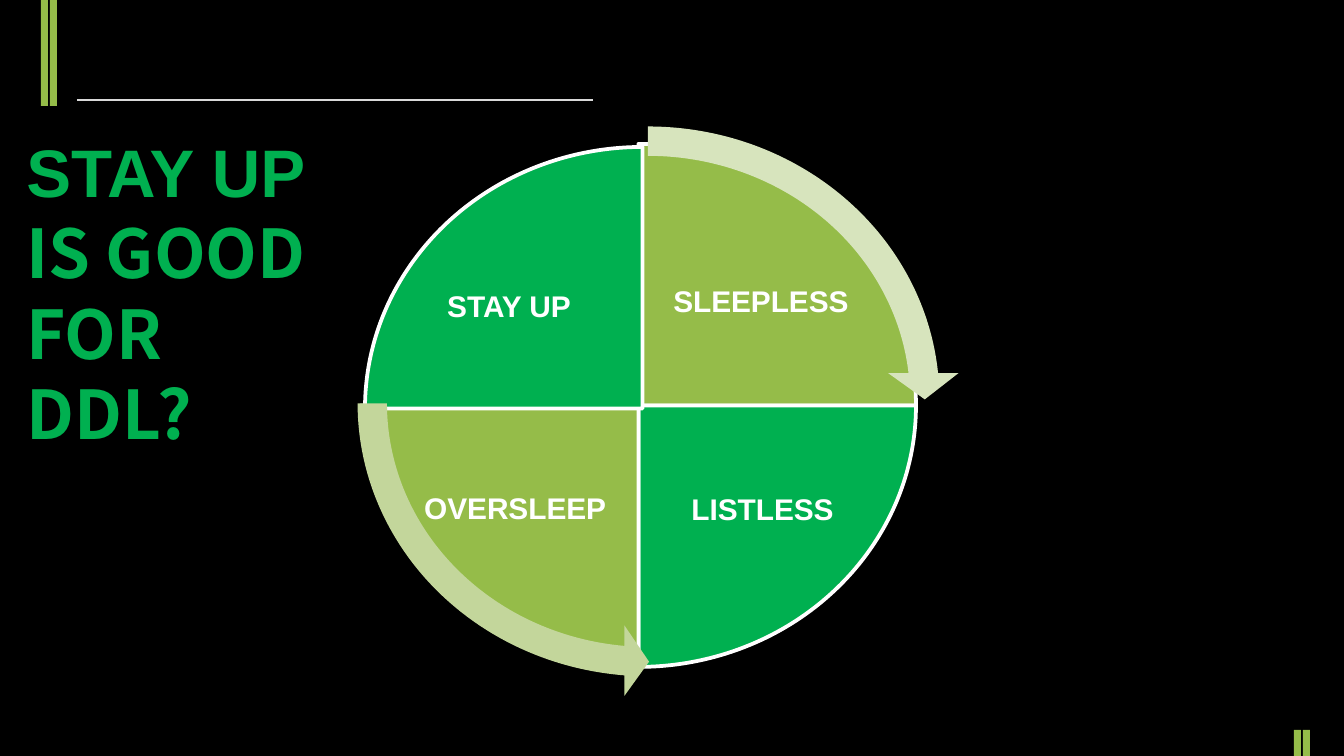
from lxml import etree
from pptx import Presentation
from pptx.dml.color import RGBColor
from pptx.enum import shapes, text
from pptx.oxml.ns import qn
from pptx.util import Pt

PX = 914400 / 134.4  # EMU in one px
COLORS = {
    "black": "000000", "white": "FFFFFF", "rule": "D9D9D9",
    "green": "00B050", "lime": "95BC49",
    "pale_arrow": "D7E4BD", "soft_arrow": "C3D69B",
}


def px(*lengths):
    return [round(length * PX) for length in lengths]


def rgb(name):
    return RGBColor.from_string(COLORS[name])


def add_filled(parent, kind, box, color, outline=None):
    part = parent.add_shape(kind, *px(*box))
    part.shadow.inherit = False
    part.fill.solid()
    part.fill.fore_color.rgb = rgb(color)
    if outline:
        part.line.color.rgb = rgb(outline)
        part.line.width = Pt(2)
    else:
        part.line.fill.background()
    return part


def set_font(run, name, size, color):
    run.font.name = name
    run.font.size = Pt(size)
    run.font.bold = True
    run.font.color.rgb = rgb(color)


def add_double_bar(slide, box):
    """Two upright bars, one at each side of the box."""
    left, top, width, height = box
    bar = 7
    bars = slide.shapes.add_group_shape().shapes
    for x in (left, left + width - bar):
        add_filled(bars, shapes.MSO_SHAPE.RECTANGLE, (x, top, bar, height), "lime")


def add_rule(slide, left, top, width):
    rule = slide.shapes.add_connector(
        shapes.MSO_CONNECTOR.STRAIGHT, *px(left, top, left + width, top))
    rule.line.color.rgb = rgb("rule")
    rule.line.width = Pt(0.75)
    etree.SubElement(rule._element.spPr, qn("a:effectLst"))


def add_heading(slide, box):
    heading = slide.shapes.title
    heading.left, heading.top, heading.width, heading.height = px(*box)
    frame = heading.text_frame
    frame.word_wrap = True
    frame.auto_size = text.MSO_AUTO_SIZE.NONE
    frame.vertical_anchor = text.MSO_ANCHOR.TOP
    frame.text = "STAY UP\nIS GOOD\nFOR DDL?"
    fonts = ("Arial", "Noto Sans CJK SC", "Noto Sans CJK SC")
    for line, font in zip(frame.paragraphs, fonts):
        line.alignment = text.PP_ALIGN.LEFT
        set_font(line.runs[0], font, 36, "green")


def add_cycle(slide, box):
    """Four quarters of an ellipse, with an arrow round two of them."""
    left, top, width, height = box
    # Quarters, clockwise from the top right; the last one is set off a little
    for start, color, shift in ((270, "lime", 0), (0, "green", 0),
                                (90, "lime", 0), (180, "green", 4)):
        quarter = add_filled(slide.shapes, shapes.MSO_SHAPE.PIE,
                             (left + shift, top + shift * 3 // 4, width, height),
                             color, "white")
        quarter.adjustments[0] = start * 0.6
        quarter.adjustments[1] = (start + 90) % 360 * 0.6

    # Arrows
    for dx, dy, color, tip, tail in ((-25, -38, "pale_arrow", 212.72, 162),
                                     (-24, -34, "soft_arrow", 50.72, 0)):
        arrow = add_filled(slide.shapes, shapes.MSO_SHAPE.CIRCULAR_ARROW,
                           (left + dx, top + dy, 624, 587), color)
        for i, value in enumerate((0.05, 3.28, tip, tail, 0.06)):
            arrow.adjustments[i] = value
    # The last arrow is mirrored to run down the left side
    arrow.rotation = 180
    arrow._element.spPr.find(qn("a:xfrm")).set("flipV", "1")

    # Labels
    start, end = text.PP_ALIGN.LEFT, text.PP_ALIGN.RIGHT
    for words, dx, dy, label_width, side in (
            ("STAY UP", 73, 137, 179, start), ("OVERSLEEP", 50, 339, 278, start),
            ("SLEEPLESS", 232, 132, 269, end), ("LISTLESS", 260, 340, 226, end)):
        label = slide.shapes.add_textbox(*px(left + dx, top + dy, label_width, 50))
        frame = label.text_frame
        frame.word_wrap = True
        frame.auto_size = text.MSO_AUTO_SIZE.SHAPE_TO_FIT_TEXT
        frame.text = words
        frame.paragraphs[0].alignment = side
        set_font(frame.paragraphs[0].runs[0], "Arial", 16, "white")


def main():
    deck = Presentation()
    deck.slide_width, deck.slide_height = px(1344, 756)
    slide = deck.slides.add_slide(deck.slide_layouts.get_by_name("Title Only"))
    slide.background.fill.solid()
    slide.background.fill.fore_color.rgb = rgb("black")

    add_double_bar(slide, (41, 0, 16, 106))
    add_double_bar(slide, (1294, 730, 16, 26))
    add_rule(slide, 77, 100, 516)
    add_cycle(slide, (361, 144, 555, 523))
    add_heading(slide, (13, 124, 333, 258))
    deck.save("out.pptx")


if __name__ == "__main__":
    main()
